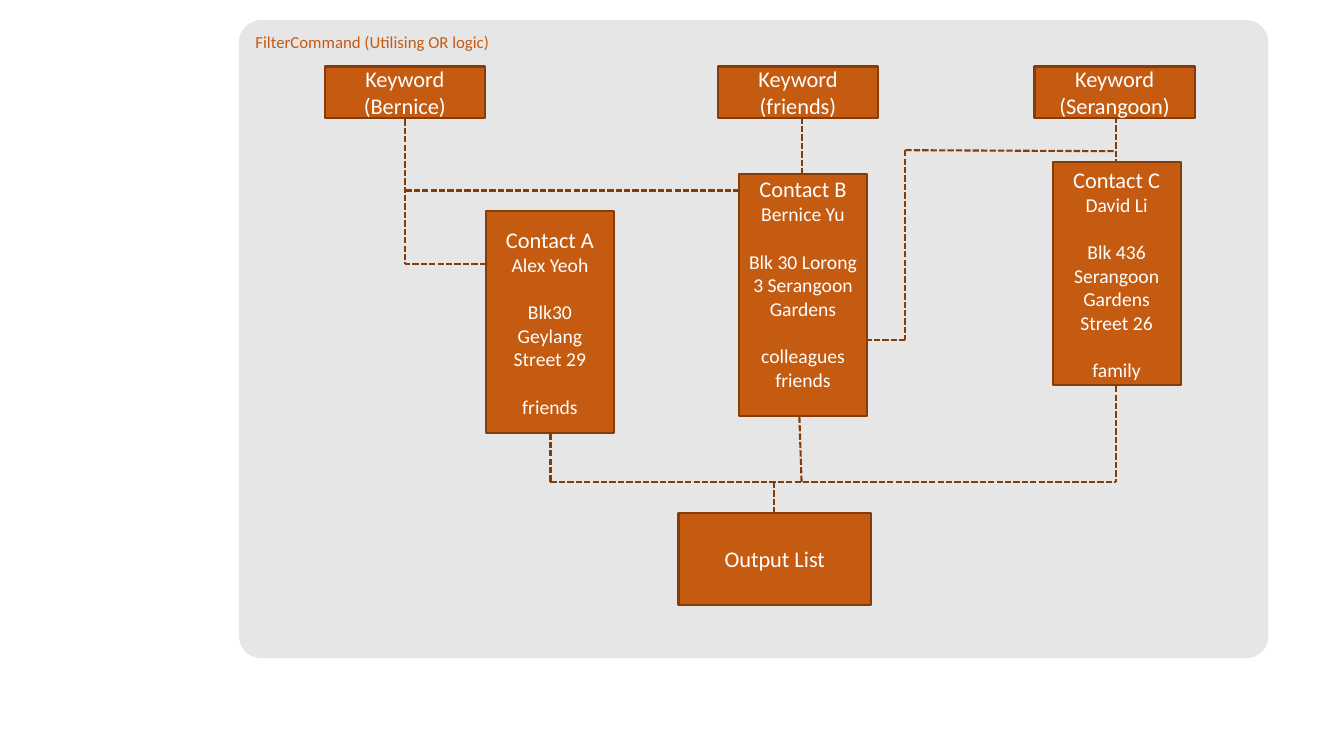
from lxml import etree
from pptx import Presentation
from pptx import util as u
from pptx.dml.color import RGBColor
from pptx.enum import dml, shapes, text
from pptx.oxml import ns

# Content
PANEL_LABEL = "FilterCommand (Utilising OR logic)"
KEYWORDS = [("Keyword (Bernice)", 3.22), ("Keyword (friends)", 7.12), ("Keyword (Serangoon)", 10.26)]
# Each contact: left, top, height, bottom inset, groups of lines
CONTACTS = [
    (4.82, 2.09, 2.21, 0.05,
     [["Contact A", "Alex Yeoh"], ["Blk30 Geylang Street 29"], ["friends"]]),
    (7.33, 1.73, 2.4, 0.29,
     [["Contact B", "Bernice Yu"], ["Blk 30 Lorong 3 Serangoon Gardens"], ["colleagues", "friends"]]),
    (10.44, 1.61, 2.21, 0.05,
     [["Contact C", "David Li"], ["Blk 436 Serangoon Gardens Street 26"], ["family"]]),
]
OUTPUT = "Output List"

# Shared positions of the lines
BERNICE_X, FRIENDS_X, SERANGOON_X = 4.02, 7.95, 11.07
CONTACT_A_X, OUTPUT_X, DETOUR_X = 5.46, 7.68, 8.98
BERNICE_Y, MERGE_Y, DETOUR_TOP, DETOUR_BOTTOM = 2.62, 4.78, 1.49, 3.37
LINES = [
    # Keyword Bernice to contacts A and B
    (BERNICE_X, 0.85, BERNICE_X, BERNICE_Y),
    (4.82, BERNICE_Y, BERNICE_X, BERNICE_Y),
    (BERNICE_X, 1.89, 8.33, 1.89),
    # Keyword friends to contact B
    (FRIENDS_X, 0.75, FRIENDS_X, 2.62),
    # Keyword Serangoon to contact C, with a detour to contact B
    (SERANGOON_X, 0.91, SERANGOON_X, MERGE_Y),
    (DETOUR_X, DETOUR_TOP, 11.06, 1.5),
    (DETOUR_X, DETOUR_TOP, DETOUR_X, DETOUR_BOTTOM),
    (DETOUR_X, DETOUR_BOTTOM, 8.48, DETOUR_BOTTOM),
    # Contacts to the output list
    (CONTACT_A_X, 2.88, CONTACT_A_X, MERGE_Y),
    (FRIENDS_X, MERGE_Y, 7.91, 3.58),
    (CONTACT_A_X, MERGE_Y, SERANGOON_X, MERGE_Y),
    (OUTPUT_X, MERGE_Y, OUTPUT_X, 5.4),
]

# Style
FONT = "Calibri"
ORANGE, BROWN, WHITE, GREY = "C55A11", "843C0B", "FFFFFF", "E7E6E6"
BLANK_LINE = 17


def color(value):
    return RGBColor.from_string(value)


def style_paragraph(para, size, hue, align):
    para.alignment = align
    for span in para.runs:
        span.font.name = FONT
        span.font.size = u.Pt(size)
        span.font.color.rgb = color(hue)


def add_shape(page, kind, left, top, width, height, fill):
    shape = page.shapes.add_shape(
        kind, u.Inches(left), u.Inches(top), u.Inches(width), u.Inches(height))
    shape.shadow.inherit = False
    shape.fill.solid()
    shape.fill.fore_color.rgb = color(fill)
    shape.text_frame.word_wrap = True
    return shape


def add_box(page, left, top, width, height, groups):
    box = add_shape(page, shapes.MSO_SHAPE.RECTANGLE, left, top, width, height, ORANGE)
    box.line.color.rgb = color(BROWN)
    box.line.width = u.Pt(1.5)
    frame = box.text_frame
    frame.vertical_anchor = text.MSO_ANCHOR.MIDDLE
    frame.text = "\n".join(line for group in groups for line in group)
    paras = iter(frame.paragraphs)
    for group_index, group in enumerate(groups):
        for line_index in range(len(group)):
            para = next(paras)
            is_heading = group_index == line_index == 0
            style_paragraph(para, 16 if is_heading else 14, WHITE, text.PP_ALIGN.CENTER)
            if group_index and line_index == 0:
                para.space_before = u.Pt(BLANK_LINE)
    return box


def add_line(page, *ends):
    line = page.shapes.add_connector(
        shapes.MSO_CONNECTOR.STRAIGHT, *(u.Inches(end) for end in ends))
    line.line.color.rgb = color(BROWN)
    line.line.width = u.Pt(1.5)
    line.line.dash_style = dml.MSO_LINE.SQUARE_DOT
    etree.SubElement(line._element.spPr, ns.qn("a:effectLst"))


def main():
    deck = Presentation()
    deck.slide_width, deck.slide_height = u.Inches(13.33), u.Inches(7.5)
    page = deck.slides.add_slide(deck.slide_layouts[6])

    # Background panel
    panel = add_shape(page, shapes.MSO_SHAPE.ROUNDED_RECTANGLE, 2.37, 0.2, 10.21, 6.33, GREY)
    panel.adjustments[0] = 0.035
    panel.line.fill.background()
    panel.text_frame.vertical_anchor = text.MSO_ANCHOR.TOP
    panel.text_frame.text = PANEL_LABEL
    style_paragraph(panel.text_frame.paragraphs[0], 12, ORANGE, text.PP_ALIGN.LEFT)

    # Lines run behind the boxes
    for ends in LINES:
        add_line(page, *ends)

    # Boxes
    for keyword, left in KEYWORDS:
        add_box(page, left, 0.66, 1.59, 0.51, [[keyword]])
    for left, top, height, inset, groups in CONTACTS:
        contact = add_box(page, left, top, 1.27, height, groups)
        contact.text_frame.margin_bottom = u.Inches(inset)
    add_box(page, 6.73, 5.09, 1.91, 0.91, [[OUTPUT]])

    deck.save("out.pptx")


if __name__ == "__main__":
    main()
